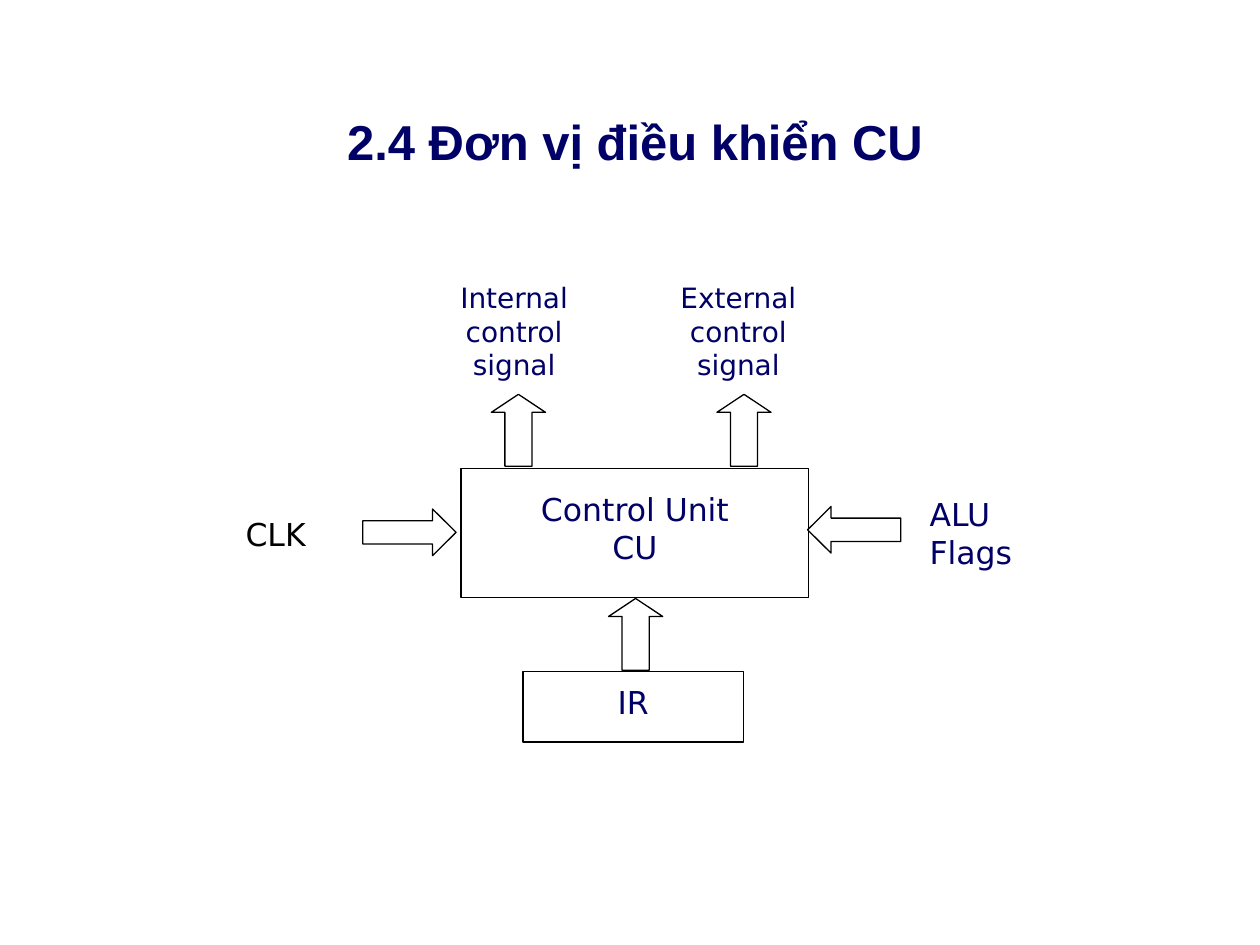
from pptx import Presentation
from pptx.dml.color import RGBColor
from pptx.enum.shapes import MSO_SHAPE
from pptx.enum.text import MSO_ANCHOR, PP_ALIGN
from pptx.util import Inches, Pt

NAVY, BLACK = "000066", "000000"
UP, RIGHT, LEFT = MSO_SHAPE.UP_ARROW, MSO_SHAPE.RIGHT_ARROW, MSO_SHAPE.LEFT_ARROW

TITLE = "2.4 Đơn vị điều khiển CU"
# text, (left, top, width, height), top inset
BOXES = [
    ("Control Unit\vCU", (3.66, 3.72, 2.76, 1.02), 0.17),
    ("IR", (4.15, 5.33, 1.75, 0.56), 0.09),
]
# kind, left, top
ARROWS = [
    (UP, 4.83, 4.75),
    (RIGHT, 2.88, 4.04),
    (LEFT, 6.41, 4.02),
    (UP, 3.9, 3.13),
    (UP, 5.69, 3.13),
]
SIZES = {UP: (0.43, 0.57), RIGHT: (0.74, 0.37), LEFT: (0.74, 0.37)}
HEADS = {UP: 0.333, RIGHT: 0.504, LEFT: 0.504}
# text, (left, top, width, height), format
LABELS = [
    ("CLK", (1.85, 4.04, 0.79, 0.4), dict(color=BLACK)),
    ("ALU Flags", (7.28, 3.88, 1.1, 0.71), {}),
    ("Internal control signal", (3.49, 2.18, 1.18, 0.9),
     dict(size=16, align=PP_ALIGN.CENTER)),
    ("External control signal", (5.27, 2.18, 1.18, 0.9),
     dict(size=16, align=PP_ALIGN.CENTER)),
]


def paint(code):
    return RGBColor.from_string(code)


def write(shape, text, size=18, font="DejaVu Sans", color=NAVY, bold=False,
          align=PP_ALIGN.LEFT, anchor=MSO_ANCHOR.TOP, top=0.05):
    frame = shape.text_frame
    frame.word_wrap = True
    frame.vertical_anchor = anchor
    frame.margin_left = frame.margin_right = Inches(0.1)
    frame.margin_top, frame.margin_bottom = Inches(top), Inches(0.05)
    para = frame.paragraphs[0]
    para.text, para.alignment = text, align
    for run in para.runs:
        run.font.size, run.font.name = Pt(size), font
        run.font.bold = bold
        run.font.color.rgb = paint(color)


def outline(slide, kind, place):
    """Add an unfilled preset shape with a thin black line."""
    shape = slide.shapes.add_shape(kind, *map(Inches, place))
    shape.shadow.inherit = False
    shape.fill.background()
    shape.line.color.rgb = paint(BLACK)
    shape.line.width = Pt(0.75)
    return shape


def label(slide, text, place, **look):
    write(slide.shapes.add_textbox(*map(Inches, place)), text, **look)


def main():
    deck = Presentation()
    deck.slide_width, deck.slide_height = Inches(10), Inches(7.5)
    slide = deck.slides.add_slide(deck.slide_layouts[6])

    label(slide, TITLE, (0.25, 0.83, 9.58, 0.57), size=28, font="Arial",
          bold=True, align=PP_ALIGN.CENTER, anchor=MSO_ANCHOR.MIDDLE)
    for text, place, top in BOXES:
        box = outline(slide, MSO_SHAPE.RECTANGLE, place)
        write(box, text, align=PP_ALIGN.CENTER, top=top)
    for kind, left, top in ARROWS:
        arrow = outline(slide, kind, (left, top, *SIZES[kind]))
        arrow.adjustments[0] = 0.5
        arrow.adjustments[1] = HEADS[kind]
    for text, place, look in LABELS:
        label(slide, text, place, **look)

    deck.save("out.pptx")


if __name__ == "__main__":
    main()
